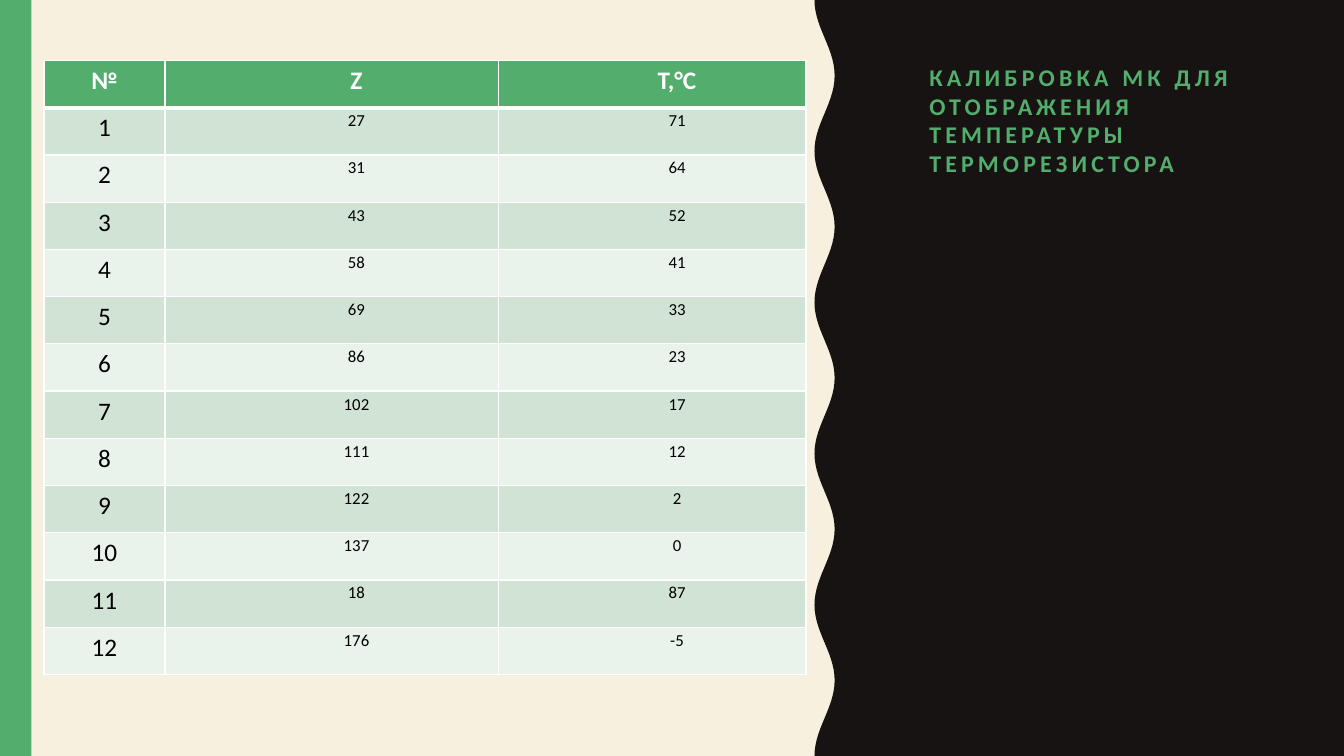
from dataclasses import dataclass
from math import cos, pi

from lxml.etree import SubElement
from pptx import Presentation
from pptx.dml.color import RGBColor
from pptx.enum.shapes import MSO_SHAPE
from pptx.enum.text import MSO_ANCHOR, MSO_AUTO_SIZE, PP_ALIGN
from pptx.oxml.ns import qn
from pptx.util import Pt

CREAM = RGBColor(0xF7, 0xF0, 0xDF)
DARK = RGBColor(0x17, 0x13, 0x12)
GREEN = RGBColor(0x53, 0xAE, 0x6E)
BAND_DARK = RGBColor(0xD1, 0xE3, 0xD5)
BAND_LIGHT = RGBColor(0xE9, 0xF2, 0xEB)
WHITE = RGBColor(0xFF, 0xFF, 0xFF)
BLACK = RGBColor(0, 0, 0)

FONT = "Calibri"
PAGE_WIDTH, PAGE_HEIGHT = 960, 540
WAVE_LEFT, WAVE_DEPTH, WAVE_COUNT, WAVE_STEPS = 581.8, 14.4, 5, 28
ROW_HEIGHT = 33.75
TITLE = "КАЛИБРОВКА МК ДЛЯ ОТОБРАЖЕНИЯ ТЕМПЕРАТУРЫ ТЕРМОРЕЗИСТОРА"
READINGS = [
    (27, 71), (31, 64), (43, 52), (58, 41), (69, 33), (86, 23),
    (102, 17), (111, 12), (122, 2), (137, 0), (18, 87), (176, -5),
]


@dataclass(frozen=True)
class Column:
    heading: str
    width: float
    body_size: float
    side_margin: float
    end_margin: float
    first_indent: float
    line_spacing: float


COLUMNS = [
    Column("№", 86.4, 18, 5.76, 3.6, 0, 1.0),
    Column("Z", 238.3, 12, 4.5, 0, 35.4, 1.15),
    Column("T,°С", 219.6, 12, 4.5, 0, 35.4, 1.15),
]


def apply_format(target, values: dict) -> None:
    for name, value in values.items():
        setattr(target, name, value)


def style_font(font, size: float, color: RGBColor, bold: bool) -> None:
    apply_format(font, {"name": FONT, "size": Pt(size), "bold": bold})
    font.color.rgb = color


def fill_plain(shape, color: RGBColor) -> None:
    shape.shadow.inherit = False
    shape.fill.solid()
    shape.fill.fore_color.rgb = color
    shape.line.fill.background()


def add_wave_panel(page) -> None:
    """Draw the dark right panel with a cosine left edge."""
    total = WAVE_COUNT * WAVE_STEPS
    edge = []
    for step in range(total, -1, -1):
        rise = (1 - cos(2 * pi * step / WAVE_STEPS)) / 2
        edge.append((Pt(WAVE_LEFT + WAVE_DEPTH * rise), Pt(PAGE_HEIGHT * step / total)))
    builder = page.shapes.build_freeform(Pt(PAGE_WIDTH), Pt(0))
    builder.add_line_segments([(Pt(PAGE_WIDTH), Pt(PAGE_HEIGHT)), *edge], close=True)
    fill_plain(builder.convert_to_shape(), DARK)


def add_side_band(page) -> None:
    band = page.shapes.add_shape(MSO_SHAPE.RECTANGLE, 0, 0, Pt(22.4), Pt(PAGE_HEIGHT))
    fill_plain(band, GREEN)


def place_title(page) -> None:
    """Format the title placeholder and bring it in front of the panel."""
    title = page.shapes.title
    apply_format(title, {"left": Pt(656.6), "top": Pt(36),
                         "width": Pt(243.4), "height": Pt(94.3)})
    apply_format(title.text_frame, {"word_wrap": True, "auto_size": MSO_AUTO_SIZE.NONE,
                                    "vertical_anchor": MSO_ANCHOR.BOTTOM})
    para = title.text_frame.paragraphs[0]
    apply_format(para, {"alignment": PP_ALIGN.LEFT, "line_spacing": 1.0,
                        "space_before": Pt(0)})
    span = para.add_run()
    span.text = TITLE
    style_font(span.font, 17.1, GREEN, True)
    span._r.get_or_add_rPr().set("spc", "300")
    title._element.getparent().append(title._element)


def add_borders(cell, top: float, bottom: float) -> None:
    properties = cell._tc.get_or_add_tcPr()
    for side, width in {"L": 1, "R": 1, "T": top, "B": bottom}.items():
        line = SubElement(properties, qn(f"a:ln{side}"), w=str(Pt(width)))
        paint = SubElement(line, qn("a:solidFill"))
        SubElement(paint, qn("a:srgbClr"), val=str(WHITE))


def fill_cell(cell, column: Column, row: int, text: str) -> None:
    header = row == 0
    add_borders(cell, 3 if row == 1 else 1, 3 if header else 1)
    cell.fill.solid()
    cell.fill.fore_color.rgb = GREEN if header else (BAND_LIGHT, BAND_DARK)[row % 2]
    side, end = Pt(column.side_margin), Pt(column.end_margin)
    apply_format(cell, {"margin_left": side, "margin_right": side, "margin_top": end,
                        "margin_bottom": end, "vertical_anchor": MSO_ANCHOR.TOP})
    para = cell.text_frame.paragraphs[0]
    apply_format(para, {"alignment": PP_ALIGN.CENTER, "line_spacing": column.line_spacing})
    para._p.get_or_add_pPr().set("indent", str(Pt(column.first_indent)))
    span = para.add_run()
    span.text = text
    style_font(span.font, 18 if header else column.body_size,
               WHITE if header else BLACK, header)


def add_calibration_table(page) -> None:
    rows = [[column.heading for column in COLUMNS]]
    rows += [[str(number), str(code), str(degrees)]
             for number, (code, degrees) in enumerate(READINGS, 1)]
    width = sum(column.width for column in COLUMNS)
    table = page.shapes.add_table(len(rows), len(COLUMNS), Pt(31.4), Pt(43.2),
                                  Pt(width), Pt(ROW_HEIGHT * len(rows))).table
    for index, column in enumerate(COLUMNS):
        table.columns[index].width = Pt(column.width)
    for row, texts in enumerate(rows):
        table.rows[row].height = Pt(ROW_HEIGHT)
        for index, (column, text) in enumerate(zip(COLUMNS, texts)):
            fill_cell(table.cell(row, index), column, row, text)


def main() -> None:
    deck = Presentation()
    apply_format(deck, {"slide_width": Pt(PAGE_WIDTH), "slide_height": Pt(PAGE_HEIGHT)})
    page = deck.slides.add_slide(deck.slide_layouts[5])
    page.background.fill.solid()
    page.background.fill.fore_color.rgb = CREAM
    add_wave_panel(page)
    add_side_band(page)
    place_title(page)
    add_calibration_table(page)
    deck.save("out.pptx")


if __name__ == "__main__":
    main()
